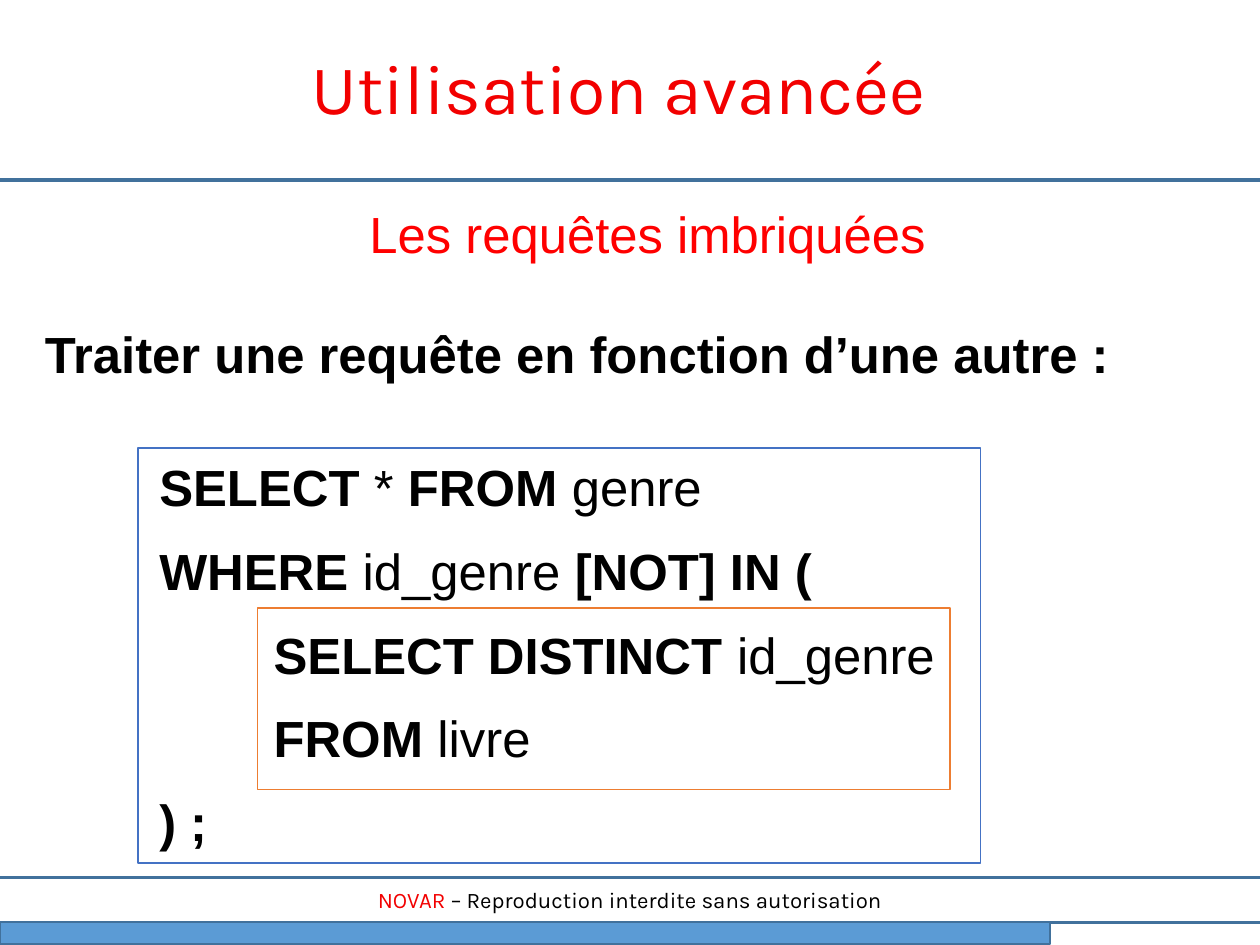
from dataclasses import dataclass
from typing import Optional

import pptx
import pptx.dml.color
import pptx.enum.shapes
import pptx.enum.text
import pptx.util
from lxml import etree

Cm = pptx.util.Cm
Pt = pptx.util.Pt
Align = pptx.enum.text.PP_ALIGN
Anchor = pptx.enum.text.MSO_ANCHOR

RED = "F20000"
BLACK = "000000"
STEEL = "41719C"
WIDTH = 28.0
STEP = 2.54


@dataclass(frozen=True)
class Box:
    left: float
    top: float
    width: float
    height: float
    line: str
    weight: float = 1
    fill: Optional[str] = None


@dataclass(frozen=True)
class Span:
    text: str
    bold: bool = False
    color: str = BLACK


@dataclass(frozen=True)
class Row:
    spans: tuple[Span, ...]
    level: int = 0
    after: float = 14.3
    align: int = Align.LEFT


def color(code: str) -> pptx.dml.color.RGBColor:
    return pptx.dml.color.RGBColor.from_string(code)


def add_box(slide, box: Box):
    shape = slide.shapes.add_shape(
        pptx.enum.shapes.MSO_SHAPE.RECTANGLE,
        Cm(box.left), Cm(box.top), Cm(box.width), Cm(box.height))
    shape.shadow.inherit = False
    if box.fill:
        shape.fill.solid()
        shape.fill.fore_color.rgb = color(box.fill)
    else:
        shape.fill.background()
    shape.line.color.rgb = color(box.line)
    shape.line.width = Pt(box.weight)
    return shape


def add_rule(slide, top: float) -> None:
    rule = slide.shapes.add_connector(
        pptx.enum.shapes.MSO_CONNECTOR.STRAIGHT, 0, Cm(top), Cm(WIDTH), Cm(top))
    rule.line.color.rgb = color(STEEL)
    rule.line.width = Pt(2.83)
    etree.SubElement(rule.element.spPr, pptx.oxml.ns.qn("a:effectLst"))


def add_text(slide, left: float, top: float, width: float, height: float):
    frame = slide.shapes.add_textbox(
        Cm(left), Cm(top), Cm(width), Cm(height)).text_frame
    frame.word_wrap = True
    return frame


def set_pad(frame, pad: float) -> None:
    frame.margin_left = frame.margin_right = Cm(pad)
    frame.margin_top = frame.margin_bottom = Cm(pad)


def write(frame, rows: tuple[Row, ...], font: str, size: float) -> None:
    for index, row in enumerate(rows):
        para = frame.add_paragraph() if index else frame.paragraphs[0]
        para.alignment = row.align
        para.space_after = Pt(row.after)
        para.font.name = font
        para.font.size = Pt(size)
        if row.level:
            para._p.get_or_add_pPr().set("marL", str(Cm(STEP * row.level)))
        for span in row.spans:
            run = para.add_run()
            run.text = span.text
            run.font.bold = span.bold
            run.font.color.rgb = color(span.color)


TITLE = (Row((Span("Utilisation avancée", color=RED),), after=0, align=Align.CENTER),)
FOOTER = (Row((Span("NOVAR", color=RED),
               Span(" – Reproduction interdite sans autorisation")),
              after=0, align=Align.CENTER),)
BODY = (
    Row((Span("Les requêtes imbriquées", color="FF0000"),), after=37.4, align=Align.CENTER),
    Row((Span("Traiter une requête en fonction d’une autre :", True),), after=45.6),
    Row((Span("SELECT", True), Span(" * "), Span("FROM", True), Span(" genre")), 1),
    Row((Span("WHERE", True), Span(" id_genre "), Span("[NOT] IN (", True)), 1),
    Row((Span("SELECT DISTINCT ", True), Span("id_genre")), 2),
    Row((Span("FROM ", True), Span("livre")), 2),
    Row((Span(") ;", True),), 1),
)
STRIP = Box(-0.5, 19.5, 29, 1, STEEL, 1.42)
BOXES = (
    Box(0, 20.5, 23.34, 0.48, STEEL, fill="5B9BD5"),
    Box(5.72, 13.51, 15.39, 4.04, "ED7D31"),
    Box(3.07, 9.96, 18.72, 9.22, "4472C4"),
)


def main() -> None:
    deck = pptx.Presentation()
    deck.slide_width = Cm(WIDTH)
    deck.slide_height = Cm(21)
    slide = deck.slides.add_slide(deck.slide_layouts[6])

    strip = add_box(slide, STRIP).text_frame
    strip.vertical_anchor = Anchor.MIDDLE
    set_pad(strip, 0.03)
    write(strip, FOOTER, "Karla", 14)
    add_rule(slide, 4)

    title = add_text(slide, -0.3, 0.86, 28.12, 2.08)
    write(title, TITLE, "Karla", 44)
    body = add_text(slide, 1, 4.5, 26.8, 14.27)
    set_pad(body, 0)
    write(body, BODY, "Arial", 32)

    for box in BOXES:
        add_box(slide, box)
    deck.save("out.pptx")


if __name__ == "__main__":
    main()
